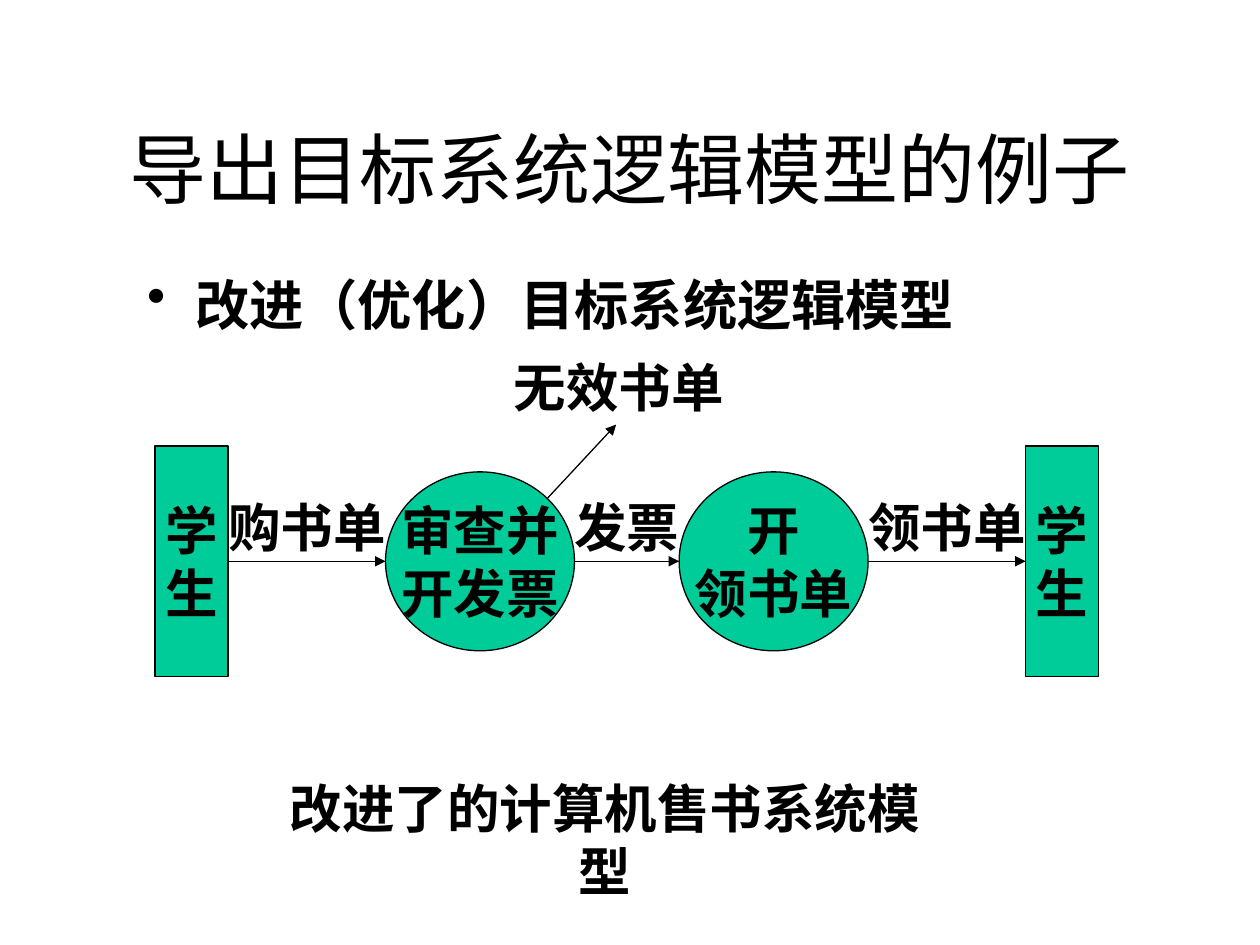
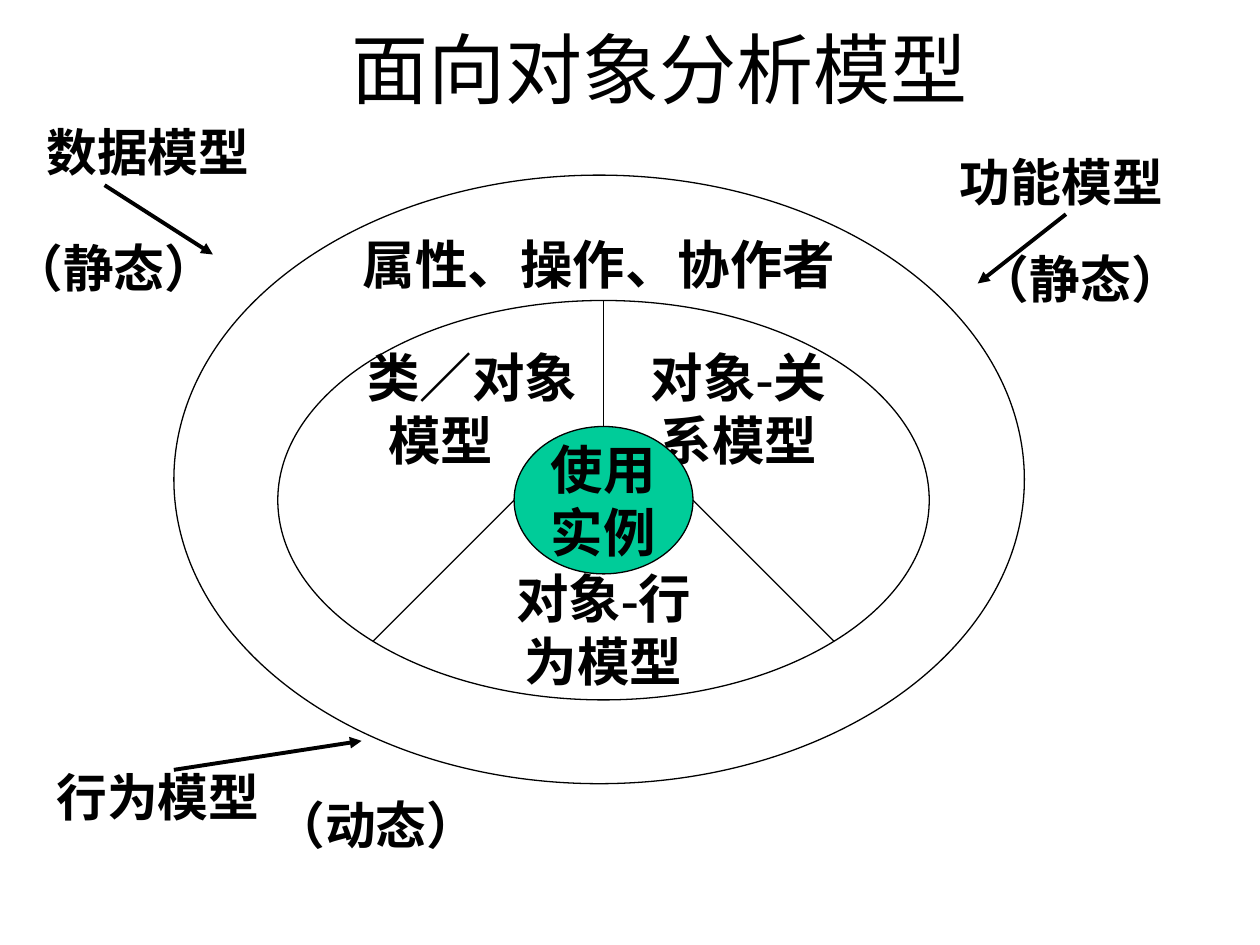
from pptx import Presentation
from pptx.dml.color import RGBColor
from pptx.enum.shapes import MSO_CONNECTOR, MSO_SHAPE
from pptx.enum.text import MSO_ANCHOR, PP_ALIGN
from pptx.oxml.ns import qn
from pptx.util import Inches, Pt
from lxml.etree import SubElement

COLORS = {"ink": "000000", "node": "00CC99", "page": "FFFFFF"}
FONT = "Times New Roman"
LABEL_FONT = "Arial"
LABEL_H = 0.6


def rgb(name):
    return RGBColor.from_string(COLORS[name])


def write(shape, text, size=30, bold=True, font=FONT, align=PP_ALIGN.CENTER,
          anchor=MSO_ANCHOR.MIDDLE, wrap=False, bullet=None, line_spacing=None):
    """Fill a shape with text, one paragraph per line."""
    tf = shape.text_frame
    tf.word_wrap = wrap
    tf.vertical_anchor = anchor
    for i, line in enumerate(text.split("\n")):
        p = tf.paragraphs[0] if i == 0 else tf.add_paragraph()
        p.alignment = align
        if line_spacing:
            p.line_spacing = line_spacing
        if bullet:
            pPr = p._p.get_or_add_pPr()
            pPr.set("marL", str(Inches(0.38)))
            pPr.set("indent", str(Inches(-0.38)))
            SubElement(pPr, qn("a:buChar")).set("char", bullet)
        r = p.add_run()
        r.text = line
        r.font.size, r.font.bold, r.font.name = Pt(size), bold, font
        r.font.color.rgb = rgb("ink")


def add_text(s, box, text, **fmt):
    write(s.shapes.add_textbox(*map(Inches, box)), text, **fmt)


def add_label(s, cx, cy, text, width=2, **fmt):
    """Centre a text box on a point."""
    height = LABEL_H * len(text.split("\n"))
    add_text(s, (cx - width / 2, cy - height / 2, width, height), text, **fmt)


def add_title(s, box, text):
    add_text(s, box, text, size=44, bold=False, wrap=True)


def add_node(s, kind, box, text=None, fill=None):
    sp = s.shapes.add_shape(kind, *map(Inches, box))
    sp.shadow.inherit = False
    if fill:
        sp.fill.solid()
        sp.fill.fore_color.rgb = rgb(fill)
    else:
        sp.fill.background()
    sp.line.color.rgb = rgb("ink")
    sp.line.width = Pt(0.75)
    if text:
        write(sp, text)
    return sp


def add_line(s, start, end, width=0.75, arrow=True):
    line = s.shapes.add_connector(MSO_CONNECTOR.STRAIGHT, *map(Inches, (*start, *end)))
    line.line.color.rgb = rgb("ink")
    line.line.width = Pt(width)
    if arrow:
        SubElement(line.line._get_or_add_ln(), qn("a:tailEnd")).set("type", "triangle")
    SubElement(line._element.spPr, qn("a:effectLst"))
    return line


def add_book_flow(s, box):
    """Students at both ends, two processes between, joined by labelled arrows."""
    x, y, w, h = box
    middle = y + h / 2
    student_w, process_w, process_h, outer_gap = 0.58, 1.5, 1.42, 1.25
    student = (MSO_SHAPE.RECTANGLE, student_w, h, "学\n生")
    inset = student_w + outer_gap
    nodes = [
        (x, *student),
        (x + inset, MSO_SHAPE.OVAL, process_w, process_h, "审查并\n开发票"),
        (x + w - inset - process_w, MSO_SHAPE.OVAL, process_w, process_h, "开\n领书单"),
        (x + w - student_w, *student),
    ]
    shapes = [add_node(s, kind, (left, middle - nh / 2, nw, nh), text, "node")
              for left, kind, nw, nh, text in nodes]

    arrows = []
    for a, b, text in zip(nodes, nodes[1:], ("购书单", "发票", "领书单")):
        start, end = a[0] + a[2], b[0]
        arrows.append(add_line(s, (start, middle), (end, middle)))
        add_label(s, (start + end) / 2, middle - 0.28, text, 1.45, font=LABEL_FONT)
    arrows[0].begin_connect(shapes[0], 3)
    arrows[-1].end_connect(shapes[-1], 1)

    add_line(s, (x + 3.11, y + 0.42), (x + 3.66, y - 0.17))
    add_label(s, x + 3.68, y - 0.47, "无效书单", font=LABEL_FONT)


def add_model_rings(s, box):
    """Outer ring, inner ring cut into three sectors, and the hub."""
    x, y, w, h = box
    add_node(s, MSO_SHAPE.OVAL, box)
    add_label(s, x + w / 2, y + 0.7, "属性、操作、协作者", 4)

    cx, cy = x + 3.41, y + 2.58
    ring_w, ring_h, hub_w, hub_h = 5.17, 3.17, 1.42, 1.17
    add_node(s, MSO_SHAPE.OVAL, (cx - ring_w / 2, cy - ring_h / 2, ring_w, ring_h))
    for dx, dy, text in ((-1.04, -0.98, "类／对象"), (-1.29, -0.48, "模型"),
                         (1.07, -0.73, "对象-关\n系模型"), (0, 1.02, "对象-行为模型")):
        add_label(s, cx + dx, cy + dy, text)

    add_node(s, MSO_SHAPE.OVAL, (cx - hub_w / 2, cy - hub_h / 2, hub_w, hub_h),
             "使用\n实例", "node")
    add_line(s, (cx, cy - hub_h / 2), (cx, cy - ring_h / 2), arrow=False)
    for side in (-1, 1):
        add_line(s, (cx + side * hub_w / 2, cy), (cx + side * 1.83, cy + 1.12), arrow=False)


def add_model_note(s, at, name, state, state_offset, arrow_from, arrow_to):
    """Name a model, give its state and point at the rings; offsets start at the name."""
    x, y = at
    for (dx, dy), text in (((0, 0), name), (state_offset, state)):
        add_text(s, (x + dx, y + dy, 2.13, 0.59), text, size=29, wrap=True,
                 align=PP_ALIGN.LEFT, anchor=MSO_ANCHOR.TOP)
    start, end = [(x + dx, y + dy) for dx, dy in (arrow_from, arrow_to)]
    add_line(s, start, end, width=2.25)


def new_slide(prs):
    s = prs.slides.add_slide(prs.slide_layouts[6])
    s.background.fill.solid()
    s.background.fill.fore_color.rgb = rgb("page")
    return s


def build_logic_model(prs):
    s = new_slide(prs)
    add_title(s, (0.75, 0.83, 8.5, 1), "导出目标系统逻辑模型的例子")
    add_text(s, (1.07, 2.2, 8.08, 0.54), "改进（优化）目标系统逻辑模型", size=31,
             align=PP_ALIGN.LEFT, anchor=MSO_ANCHOR.TOP, wrap=True,
             bullet="•", line_spacing=0.8)
    add_book_flow(s, (1.23, 3.54, 7.49, 1.83))
    add_label(s, 4.8, 6.66, "改进了的计算机售书系统模型", 5.61, font=LABEL_FONT)


def build_object_model(prs):
    s = new_slide(prs)
    add_title(s, (2.09, 0, 6.3, 1.07), "面向对象分析模型")
    add_model_rings(s, (1.38, 1.39, 6.75, 4.83))
    add_model_note(s, (0.27, 0.91), "数据模型", "（静态）",
                   (-0.27, 0.92), (0.56, 0.56), (1.42, 1.11))
    add_model_note(s, (7.52, 1.15), "功能模型", "（静态）",
                   (0.15, 0.77), (0.94, 0.55), (0.24, 1.1))
    add_model_note(s, (0.35, 6.03), "行为模型", "（动态）",
                   (1.73, 0.22), (1.03, 0.08), (2.52, -0.15))


def main():
    prs = Presentation()
    prs.slide_width, prs.slide_height = Inches(10), Inches(7.5)
    build_logic_model(prs)
    build_object_model(prs)
    prs.save("out.pptx")


if __name__ == "__main__":
    main()
